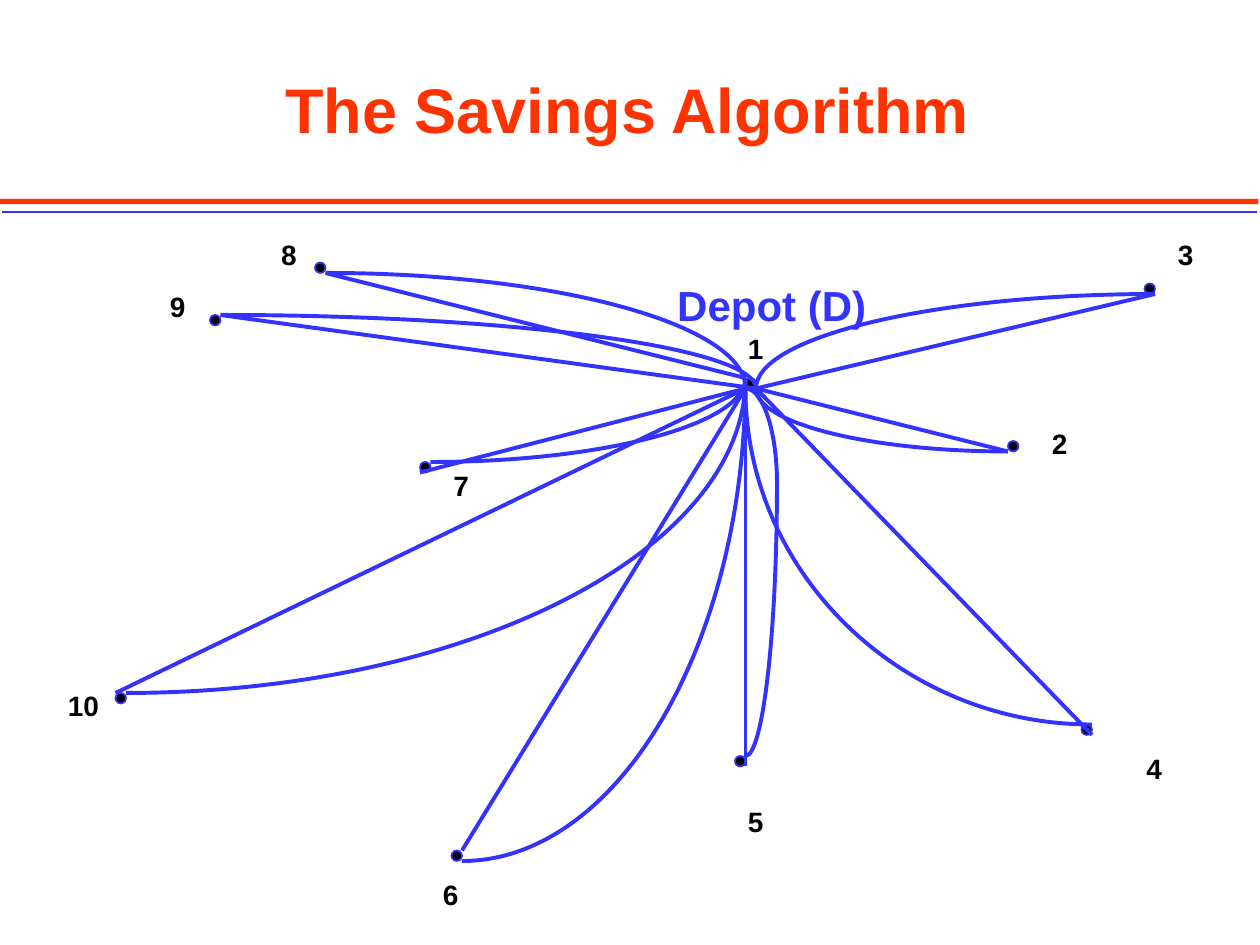
from collections import namedtuple

from lxml import etree
from pptx import Presentation
from pptx.dml.color import RGBColor
from pptx.enum.shapes import MSO_CONNECTOR, MSO_SHAPE
from pptx.enum.text import MSO_ANCHOR, MSO_AUTO_SIZE, PP_ALIGN
from pptx.oxml.ns import qn
from pptx.util import Inches, Pt

RED = RGBColor(0xFF, 0x33, 0x00)
BLUE = RGBColor(0x33, 0x33, 0xFF)
BLACK = RGBColor(0, 0, 0)

STRAIGHT = MSO_CONNECTOR.STRAIGHT
RECTANGLE, OVAL = MSO_SHAPE.RECTANGLE, MSO_SHAPE.OVAL
TOP, MIDDLE = MSO_ANCHOR.TOP, MSO_ANCHOR.MIDDLE
CENTER = PP_ALIGN.CENTER
NO_AUTO_SIZE = MSO_AUTO_SIZE.NONE

# The slide is a grid of 120 columns by 90 rows, twelve to the inch.
COLUMNS, ROWS, CELLS_PER_INCH = 120, 90, 12
QUARTER_ELLIPSE = 0.55  # share of each radius that the Bezier handles span

# Each stop: its dot and label, then the ends of its route out and back.
Stop = namedtuple("Stop", "name dot label line arc")
STOPS = [
    Stop("7", (40, 44), (42, 44), [(71, 37), (40, 45)], [(41, 44), (71, 36)]),
    Stop("8", (30, 25), (25.58, 22), [(31, 26), (71, 36)], [(31, 26), (71, 37)]),
    Stop("9", (20, 30), (15, 27), [(21, 30), (72, 37)], [(21, 30), (72, 37)]),
    Stop("10", (11, 66), (5.3, 65), [(11, 66), (71, 37)], [(12, 66), (71, 36)]),
    Stop("6", (43, 81), (41, 83), [(44, 81), (71, 37)], [(44, 82), (71, 36)]),
    Stop("5", (70, 72), (70.04, 76), [(71, 73), (71, 37)], [(71, 72), (74, 46)]),
    Stop("4", (103, 69), (108, 71), [(72, 37), (104, 70)], [(104, 69), (71, 37)]),
    Stop("2", (96, 42), (99, 40), [(72, 37), (96, 43)], [(96, 43), (72, 37)]),
    Stop("3", (109, 27), (111, 22), [(72, 37), (110, 28)], [(110, 28), (72, 37)]),
]
DEPOT_DOT, DEPOT_LABEL = (71, 36), (70.04, 31)
STOP_5_RETURN = [(71, 37), (74, 46)]


def cells(count):
    return Inches(count / CELLS_PER_INCH)


class RouteSlide:
    font_name = "Arial"
    route_width = 2.25

    def __init__(self, presentation):
        self.slide = presentation.slides.add_slide(presentation.slide_layouts[6])
        self.shapes = self.slide.shapes

    def shape(self, kind, column, row, width, height, fill, outline=None):
        shape = self.shapes.add_shape(kind, *map(cells, (column, row, width, height)))
        shape.shadow.inherit = False
        shape.fill.solid()
        shape.fill.fore_color.rgb = fill
        if outline is None:
            shape.line.fill.background()
        else:
            shape.line.color.rgb = outline
            shape.line.width = Pt(1)

    def dot(self, column, row):
        self.shape(OVAL, column, row, 1, 1, BLACK, BLUE)

    def text(self, words, column, row, width, height, size, color, anchor=TOP, wrap=True):
        box = self.shapes.add_textbox(*map(cells, (column, row, width, height)))
        frame = box.text_frame
        frame.text = words
        frame.word_wrap = wrap
        frame.auto_size = NO_AUTO_SIZE
        frame.vertical_anchor = anchor
        paragraph = frame.paragraphs[0]
        paragraph.alignment = CENTER
        font = paragraph.runs[0].font
        font.name, font.size, font.bold = self.font_name, Pt(size), True
        font.color.rgb = color

    def label(self, name, column, row):
        width = 2.4 + 1.45 * len(name)
        self.text(name, column, row, width, 4.44, 16, BLACK, wrap=False)

    def line(self, start, end, width=route_width):
        connector = self.shapes.add_connector(STRAIGHT, *map(cells, (*start, *end)))
        connector.line.color.rgb = BLUE
        connector.line.width = Pt(width)
        etree.SubElement(connector._element.spPr, qn("a:effectLst"))

    def arc(self, start, end):
        """Draw a quarter ellipse that leaves start level and reaches end upright."""
        builder = self.shapes.build_freeform(*map(cells, start))
        builder.add_line_segments([tuple(map(cells, end))], close=False)
        shape = builder.convert_to_shape()
        self.bend(shape)
        shape.shadow.inherit = False
        shape.fill.background()
        shape.line.color.rgb = BLUE
        shape.line.width = Pt(self.route_width)

    @staticmethod
    def bend(shape):
        """Turn the only straight segment of a freeform into a Bezier curve."""
        segment = next(shape._element.iter(qn("a:lnTo")))
        outline = segment.getparent()
        (x0, y0), (x1, y1) = [
            (int(point.get("x")), int(point.get("y"))) for point in outline.iter(qn("a:pt"))
        ]
        handles = [
            (round(x0 + QUARTER_ELLIPSE * (x1 - x0)), y0),
            (x1, round(y1 + QUARTER_ELLIPSE * (y0 - y1))),
        ]
        curve = etree.Element(qn("a:cubicBezTo"))
        for x, y in [*handles, (x1, y1)]:
            etree.SubElement(curve, qn("a:pt"), x=str(x), y=str(y))
        outline.replace(segment, curve)


def main():
    presentation = Presentation()
    presentation.slide_width = cells(COLUMNS)
    presentation.slide_height = cells(ROWS)

    slide = RouteSlide(presentation)
    slide.shape(RECTANGLE, 0, 18.95, 119.85, 0.5, RED)
    slide.line((0.2, 20.2), (119.7, 20.2), width=1)
    slide.text("The Savings Algorithm", 8.75, 2.8, 102, 15, 36, RED, MIDDLE)

    slide.dot(*DEPOT_DOT)
    slide.label("1", *DEPOT_LABEL)
    for stop in STOPS:
        slide.dot(*stop.dot)
        slide.label(stop.name, *stop.label)
    for stop in STOPS:
        slide.line(*stop.line)
    for stop in STOPS:
        slide.arc(*stop.arc)
    slide.arc(*STOP_5_RETURN)
    slide.text("Depot (D)", 62, 26, 23, 6, 24, BLUE)

    presentation.save("out.pptx")


if __name__ == "__main__":
    main()
